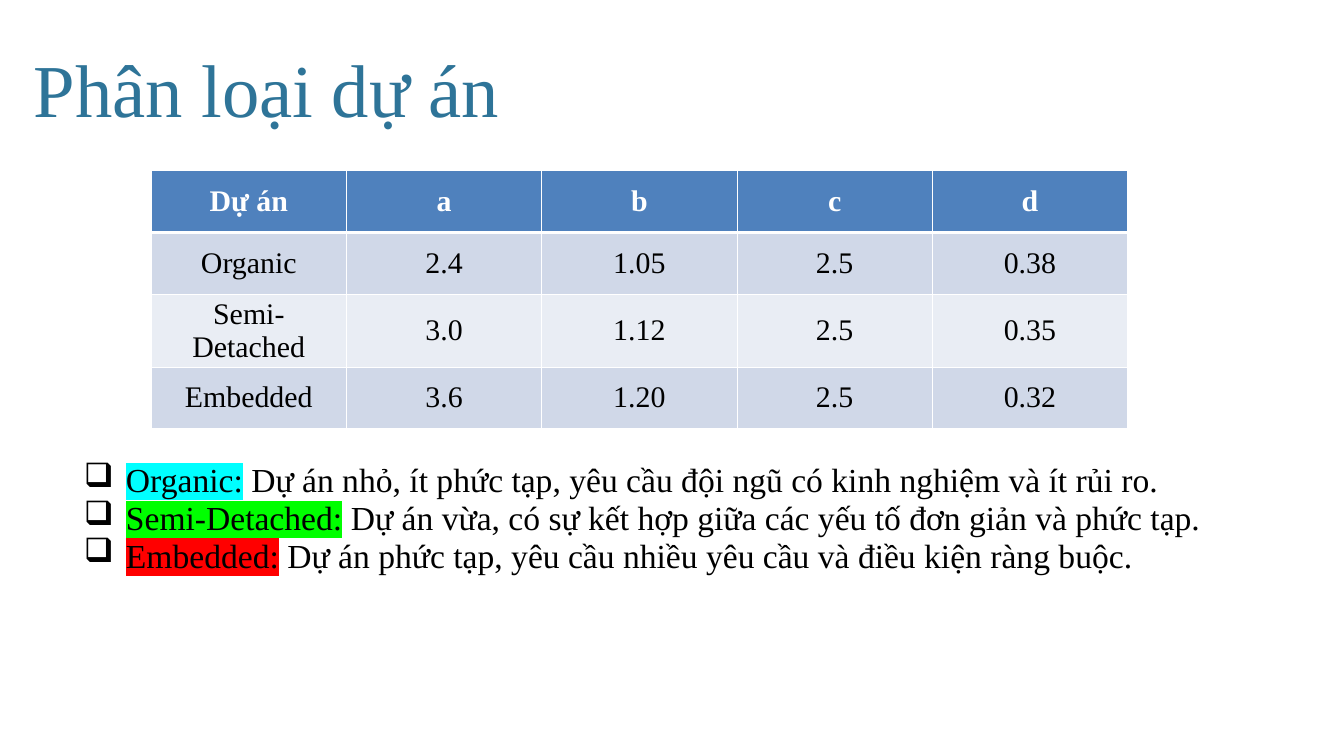
from lxml.etree import SubElement
from pptx import Presentation
from pptx.dml.color import RGBColor
from pptx.enum.text import MSO_ANCHOR, MSO_AUTO_SIZE, PP_ALIGN
from pptx.oxml.ns import qn
from pptx.util import Emu, Pt

EMU_PER_PX = 9525
FONT = "Times New Roman"
COLORS = {
    "title": "2E7498", "text": "000000", "white": "FFFFFF",
    "header": "4F81BD", "band_dark": "D0D8E8", "band_light": "E9EDF4",
    "cyan": "00FFFF", "green": "00FF00", "red": "FF0000",
}
COEFFICIENTS = [
    ["Dự án", "a", "b", "c", "d"],
    ["Organic", "2.4", "1.05", "2.5", "0.38"],
    ["Semi-Detached", "3.0", "1.12", "2.5", "0.35"],
    ["Embedded", "3.6", "1.20", "2.5", "0.32"],
]
PROJECT_TYPES = [
    ("Organic:", "cyan",
     " Dự án nhỏ, ít phức tạp, yêu cầu đội ngũ có kinh nghiệm và ít rủi ro."),
    ("Semi-Detached:", "green",
     " Dự án vừa, có sự kết hợp giữa các yếu tố đơn giản và phức tạp."),
    ("Embedded:", "red",
     " Dự án phức tạp, yêu cầu nhiều yêu cầu và điều kiện ràng buộc."),
]


def px(length):
    return Emu(length * EMU_PER_PX)


def add_run(paragraph, text, size, color, bold=False, highlight=None):
    run = paragraph.add_run()
    run.text = text
    run.font.size = Pt(size)
    run.font.bold = bold
    run.font.color.rgb = RGBColor.from_string(COLORS[color])
    if highlight:
        # The highlight has to stand between the fill and the typeface
        mark = SubElement(run.font._element, qn("a:highlight"))
        SubElement(mark, qn("a:srgbClr"), val=COLORS[highlight])
    run.font.name = FONT


def add_text_frame(slide, left, top, width, height):
    box = slide.shapes.add_textbox(px(left), px(top), px(width), px(height))
    frame = box.text_frame
    frame.word_wrap = True
    frame.auto_size = MSO_AUTO_SIZE.NONE
    frame.margin_left = frame.margin_right = 0
    frame.margin_top = frame.margin_bottom = 0
    return frame


def add_title(slide, text):
    paragraph = add_text_frame(slide, 48, 44, 1809, 147).paragraphs[0]
    paragraph.line_spacing = Pt(109.4)
    add_run(paragraph, text, 80, "title")


def set_bullet(paragraph, character, indent):
    properties = paragraph._p.get_or_add_pPr()
    properties.set("marL", str(px(indent)))
    properties.set("indent", str(px(-indent)))
    SubElement(properties, qn("a:buChar"), char=character)


def add_descriptions(slide, items):
    frame = add_text_frame(slide, 120, 660, 1714, 371)
    for index, (name, highlight, description) in enumerate(items):
        paragraph = frame.add_paragraph() if index else frame.paragraphs[0]
        set_bullet(paragraph, "❑", 60)
        paragraph.alignment = PP_ALIGN.JUSTIFY
        paragraph.line_spacing = Pt(40.4)
        add_run(paragraph, name, 36, "text", highlight=highlight)
        add_run(paragraph, description, 36, "text")


def set_borders(cell, top, bottom):
    properties = cell._tc.get_or_add_tcPr()
    for side, width in (("L", 1), ("R", 1), ("T", top), ("B", bottom)):
        line = SubElement(properties, qn(f"a:ln{side}"), w=str(Pt(width)))
        fill = SubElement(line, qn("a:solidFill"))
        SubElement(fill, qn("a:srgbClr"), val=COLORS["white"])


def add_coefficient_table(slide, rows):
    column_width, row_height = 279, 88
    row_count, column_count = len(rows), len(rows[0])
    table = slide.shapes.add_table(
        row_count, column_count, px(216), px(244),
        px(column_width * column_count), px(row_height * row_count)).table
    for column in table.columns:
        column.width = px(column_width)
    for row_index, values in enumerate(rows):
        table.rows[row_index].height = px(row_height)
        is_header = row_index == 0
        band = "band_dark" if row_index % 2 else "band_light"
        for column_index, value in enumerate(values):
            cell = table.cell(row_index, column_index)
            # A thick rule parts the header from the first body row
            set_borders(cell, top=3 if row_index == 1 else 1,
                        bottom=3 if is_header else 1)
            cell.fill.solid()
            cell.fill.fore_color.rgb = RGBColor.from_string(
                COLORS["header" if is_header else band])
            cell.vertical_anchor = MSO_ANCHOR.MIDDLE
            paragraph = cell.text_frame.paragraphs[0]
            paragraph.alignment = PP_ALIGN.CENTER
            add_run(paragraph, value, 32, "white" if is_header else "text",
                    bold=is_header)


def main():
    presentation = Presentation()
    presentation.slide_width = px(1920)
    presentation.slide_height = px(1080)
    slide = presentation.slides.add_slide(presentation.slide_layouts[6])

    add_title(slide, "Phân loại dự án")
    add_descriptions(slide, PROJECT_TYPES)
    add_coefficient_table(slide, COEFFICIENTS)

    presentation.save("out.pptx")


if __name__ == "__main__":
    main()
